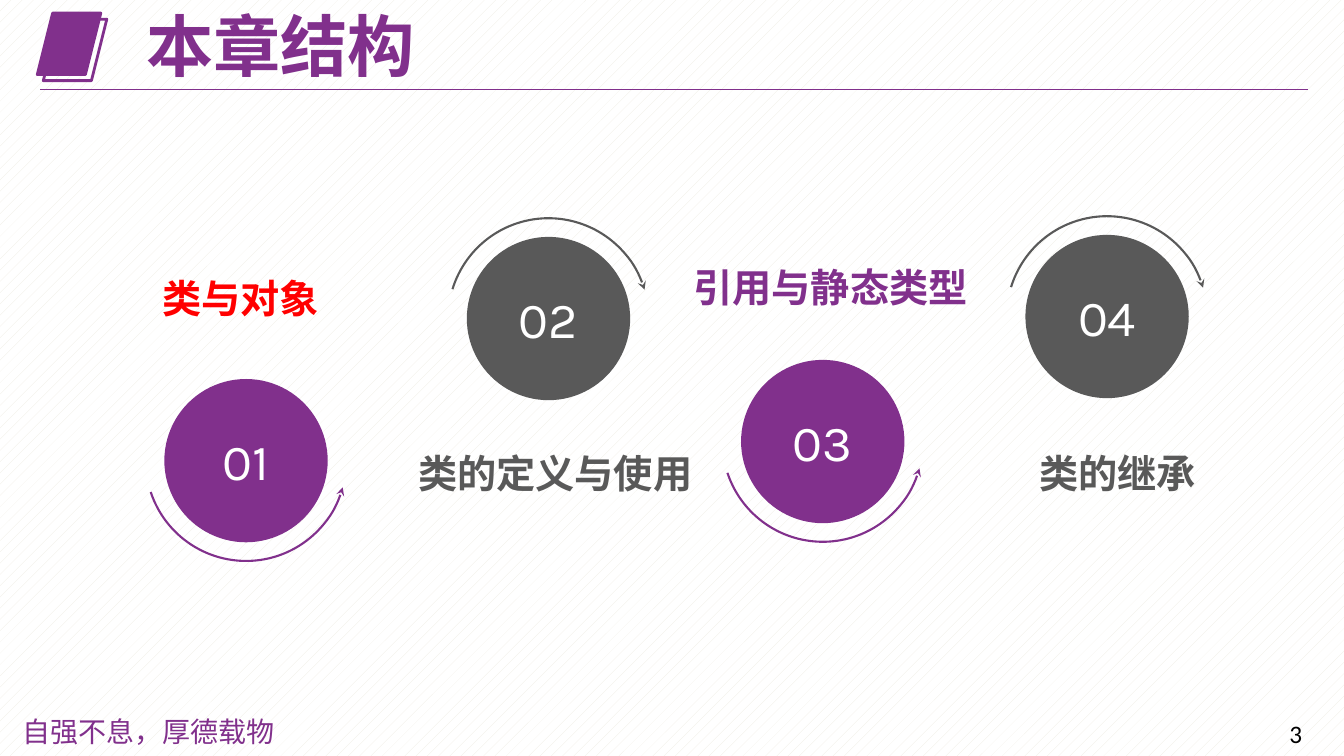
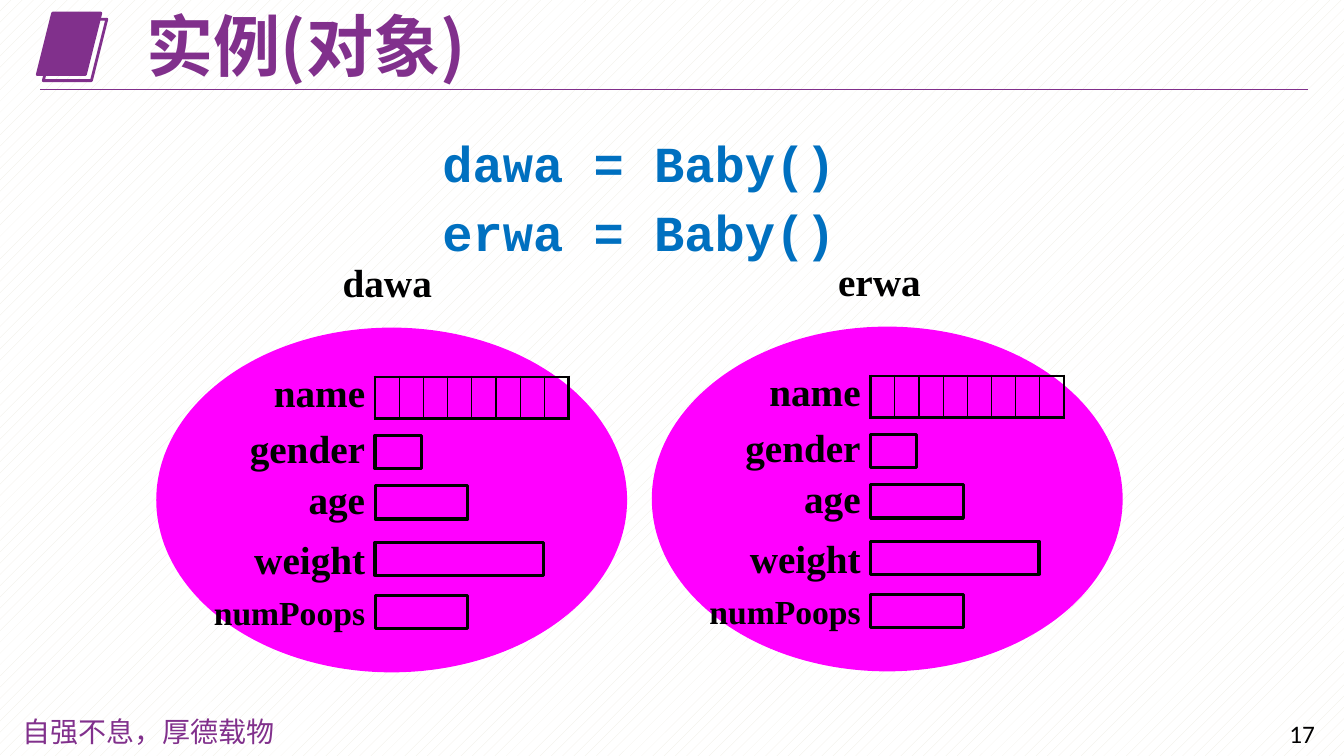
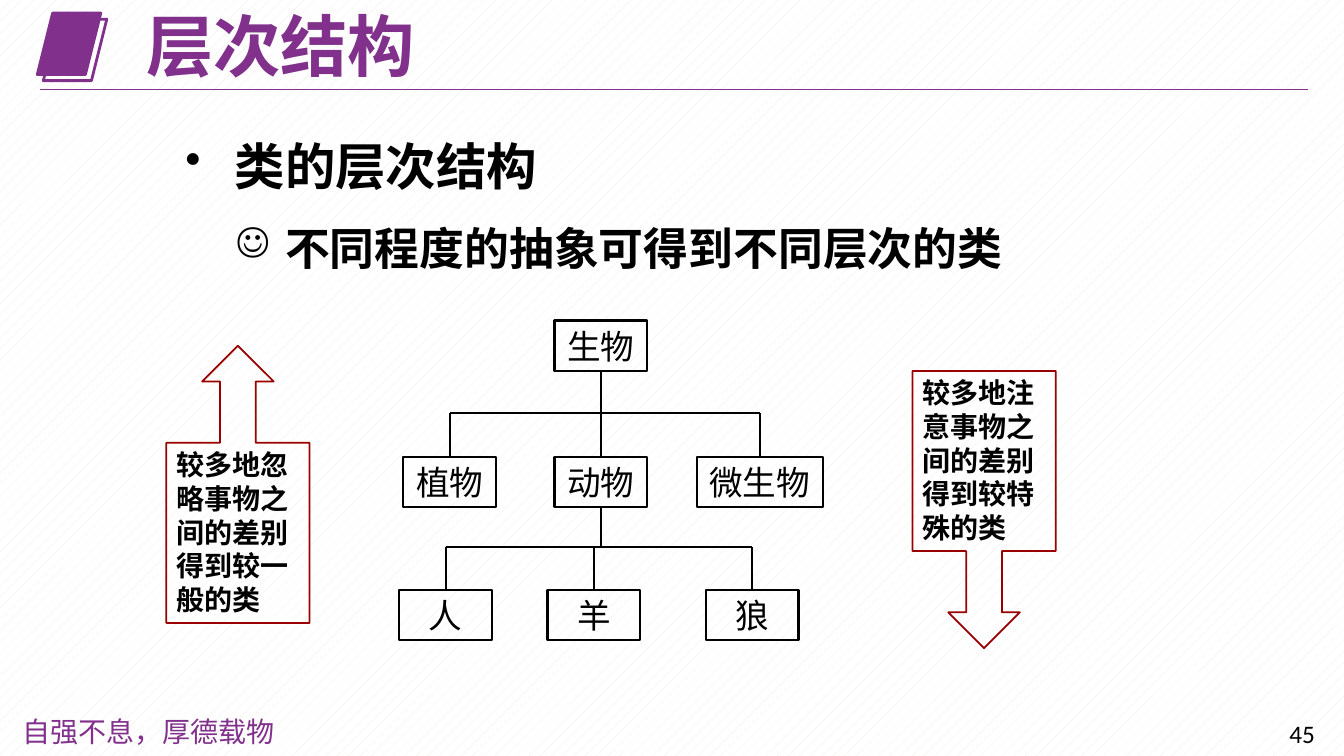
from lxml.etree import SubElement
from pptx import Presentation
from pptx.dml.color import RGBColor
from pptx.enum.dml import MSO_PATTERN
from pptx.enum.shapes import MSO_CONNECTOR, MSO_SHAPE, MSO_SHAPE_TYPE
from pptx.enum.text import MSO_ANCHOR, MSO_AUTO_SIZE, PP_ALIGN
from pptx.oxml.ns import qn
from pptx.util import Inches, Pt

PURPLE, GRAY, RED, MAROON = "81308C", "595959", "FF0000", "990000"
BLACK, WHITE, MAGENTA, BLUE = "000000", "FFFFFF", "FF00FF", "0070C0"
HEAVY, SERIF, MONO = "Noto Sans CJK SC", "Times New Roman", "Courier New"
GRID = Inches(0.1)  # one column or row of the layout grid
color = RGBColor.from_string


def draw(slide, preset, left, top, width, height, fill=None, line=None, weight=1):
    """Add a preset shape, or a text box if preset is None, measured in grid units."""
    box = [round(n * GRID) for n in (left, top, width, height)]
    if preset is None:
        shape = slide.shapes.add_textbox(*box)
    else:
        shape = slide.shapes.add_shape(preset, *box)
        shape.shadow.inherit = False
        if fill:
            shape.fill.solid()
            shape.fill.fore_color.rgb = color(fill)
        else:
            shape.fill.background()
        if line:
            shape.line.color.rgb = color(line)
            shape.line.width = Pt(weight)
        else:
            shape.line.fill.background()
    shape.text_frame.word_wrap = True
    return shape


def write(paragraph, text, size, ink=BLACK, font=HEAVY, bold=False,
          align=PP_ALIGN.LEFT, east=HEAVY):
    """Fill a paragraph; east is the typeface for Chinese characters."""
    paragraph.text = text
    paragraph.alignment = align
    paragraph.font.size = Pt(size)
    paragraph.font.bold = bold
    paragraph.font.color.rgb = color(ink)
    paragraph.font.name = font
    SubElement(paragraph._p.pPr.find(qn("a:defRPr")), qn("a:ea"), typeface=east)


prs = Presentation()
prs.slide_width, prs.slide_height = Inches(13.33), Inches(7.5)
backdrop = prs.slide_master.background.fill
backdrop.patterned()
backdrop.pattern = MSO_PATTERN.PERCENT_10
backdrop.fore_color.rgb = color("EEECE1")
backdrop.back_color.rgb = color(WHITE)

# Shared title, emblem, rule, motto and page number
for heading, page in (("本章结构", "3"), ("实例(对象)", "17"), ("层次结构", "45")):
    slide = prs.slides.add_slide(prs.slide_layouts[5])
    title = slide.shapes.title
    title.left, title.top = round(13.5 * GRID), round(1.1 * GRID)
    title.width, title.height = round(70.2 * GRID), round(7.6 * GRID)
    title.text_frame.auto_size = MSO_AUTO_SIZE.NONE
    title.text_frame.vertical_anchor = MSO_ANCHOR.MIDDLE
    heading_line = title.text_frame.paragraphs[0]
    heading_line.line_spacing = 0.9
    write(heading_line, heading, 48, PURPLE, bold=True)

    for left, top, fill in ((3.7, 1.3, PURPLE), (4.3, 1.9, None)):
        draw(slide, MSO_SHAPE.PARALLELOGRAM, left, top, 6.3, 6.1, fill, PURPLE, 2)
    rule = slide.shapes.add_connector(
        MSO_CONNECTOR.STRAIGHT, Inches(0.4), Inches(0.89), Inches(12.97), Inches(0.89))
    rule.line.color.rgb = color(PURPLE)
    rule.line.width = Pt(0.75)
    motto = draw(slide, None, 1.2, 70.4, 27.8, 4.4)
    write(motto.text_frame.paragraphs[0], "自强不息，厚德载物", 20, PURPLE,
          "Noto Sans CJK JP", east="Noto Sans CJK JP")
    number = draw(slide, None, 126.9, 70.8, 6.1, 4)
    write(number.text_frame.paragraphs[0], page, 18, font="Calibri")

outline, instances, hierarchy = prs.slides

# Chapter outline: circles with an arrow below (odd) or above (even)
sections = [
    ("01", 16.3, 37.6, PURPLE, "类与对象", RED, (15.1, 26.7, 22.2, 7.5)),
    ("02", 46.3, 23.5, GRAY, "类的定义与使用", GRAY, (40.5, 44.1, 29.7, 5.9)),
    ("03", 73.5, 35.7, PURPLE, "引用与静态类型", PURPLE, (67.8, 25.6, 30.2, 6.7)),
    ("04", 101.7, 23.3, GRAY, "类的继承", GRAY, (102.1, 44.1, 19.1, 5.9)),
]
for index, (number, left, top, tint, topic, ink, label_box) in enumerate(sections):
    circle = draw(outline, MSO_SHAPE.OVAL, left, top, 16.2, 16.2, tint)
    write(circle.text_frame.paragraphs[0], number, 36, WHITE, "Karla",
          align=PP_ALIGN.CENTER)
    arc = draw(outline, MSO_SHAPE.ARC, left - 1.85, top - 1.85, 19.9, 19.9,
               line=tint, weight=1.5)
    arc.adjustments[0], arc.adjustments[1] = 145.86, 17.63
    arc.rotation = 132.4
    if index % 2:
        arc.rotation = 46.4
        arc._element.spPr.find(qn("a:xfrm")).set("flipH", "1")
    SubElement(arc._element.spPr.find(qn("a:ln")), qn("a:headEnd"), type="stealth")
    label = draw(outline, None, *label_box)
    write(label.text_frame.paragraphs[0], topic, 28, ink, bold=True)

# Two instances of one class, each with its own fields
fields = [  # name, size, label top, label width, slot top, slot width, slot height
    ("name", 28, 36, 11.2, 37.4, 19.2, 4.1),
    ("gender", 28, 41.6, 13.6, 43.2, 4.6, 3.3),
    ("age", 28, 46.7, 7.7, 48.2, 9.2, 3.3),
    ("weight", 28, 52.6, 13.2, 53.8, 16.7, 3.3),
    ("numPoops", 24, 58.2, 17.2, 59.1, 9.2, 3.3),
]
LETTERS = 8
for instance, dx, dy, name_width in (("dawa", 0, 0, 11), ("erwa", 49.15, -0.1, 10.3)):
    draw(instances, MSO_SHAPE.OVAL, 15.5 + dx, 32.5 + dy, 46.7, 34.2, MAGENTA)
    caption = draw(instances, None, 33 + dx, 25.1 + dy, name_width, 5.7)
    caption.text_frame.word_wrap = False
    write(caption.text_frame.paragraphs[0], instance, 28, font=SERIF, bold=True)
    slot_left = 37.2 + dx
    for field, size, label_top, label_width, slot_top, width, height in fields:
        label = draw(instances, None, slot_left - label_width, label_top + dy,
                     label_width, 5 if size == 24 else 5.7)
        label.text_frame.word_wrap = False
        write(label.text_frame.paragraphs[0], field, size, font=SERIF, bold=True,
              align=PP_ALIGN.RIGHT)
        if field != "name":
            draw(instances, MSO_SHAPE.RECTANGLE, slot_left, slot_top + dy,
                 width, height, line=BLACK, weight=2.25)
            continue
        letters = instances.shapes.add_table(
            1, LETTERS, *[round(n * GRID) for n in
                          (slot_left, slot_top + dy, width, height)]).table
        letters.first_row = letters.horz_banding = False
        for position, cell in enumerate(letters.rows[0].cells):
            cell.margin_left = cell.margin_right = 0
            cell.margin_top = cell.margin_bottom = 0
            weights = {"lnL": 1 if position else 2.25,
                       "lnR": 1 if position < LETTERS - 1 else 2.25,
                       "lnT": 2.25, "lnB": 2.25}
            for side, weight in weights.items():
                border = SubElement(cell._tc.get_or_add_tcPr(), qn(f"a:{side}"),
                                    w=str(Pt(weight)))
                ink = SubElement(border, qn("a:solidFill"))
                SubElement(ink, qn("a:srgbClr"), val=BLACK)
            cell.fill.background()

code = draw(instances, None, 42.9, 12.6, 41.4, 13.2).text_frame
code.word_wrap = False
write(code.paragraphs[0], "dawa = Baby()", 36, BLUE, MONO, True)
second_call = code.add_paragraph()
second_call.space_before = Pt(6)
write(second_call, "erwa = Baby()", 36, BLUE, MONO, True)

# Class hierarchy: statement, tree and two callouts
statement = draw(hierarchy, None, 17.4, 12.9, 104.3, 44.6).text_frame
points = [("•", "类的层次结构", 36, HEAVY, 0),
          ("☺", "不同程度的抽象可得到不同层次的类", 32, SERIF, 18)]
for level, (mark, text, size, font, gap) in enumerate(points):
    point = statement.add_paragraph() if level else statement.paragraphs[0]
    point.level = level
    point.space_before = Pt(gap)
    properties = point._p.get_or_add_pPr()
    properties.set("marL", str(Inches(0.49 + 0.5 * level)))
    properties.set("indent", str(Inches(-0.49)))
    SubElement(properties, qn("a:buSzPct"), val="90000")
    SubElement(properties, qn("a:buChar"), char=mark)
    write(point, text, size, font=font, bold=True)

nodes = {}
for name, left, top, width in (
        ("生物", 55, 31.8, 9.2),
        ("植物", 40, 45.3, 9.2), ("动物", 55, 45.3, 9.2), ("微生物", 69.1, 45.3, 12.5),
        ("人", 39.6, 58.5, 9.2), ("羊", 54.3, 58.5, 9.2), ("狼", 70, 58.5, 9.2)):
    nodes[name] = draw(hierarchy, MSO_SHAPE.RECTANGLE, left, top, width, 5,
                       line=BLACK, weight=1.5)
    write(nodes[name].text_frame.paragraphs[0], name, 24, font="Arial",
          align=PP_ALIGN.CENTER)

for parent, children, bar_row in (("生物", ("植物", "动物", "微生物"), 41),
                                  ("动物", ("人", "羊", "狼"), 54.3)):
    bar_y = round(bar_row * GRID)
    centers = [nodes[child].left + nodes[child].width // 2 for child in children]
    trunk_x = nodes[parent].left + nodes[parent].width // 2
    ends = [(centers[0], centers[-1], None, None), (trunk_x, trunk_x, parent, None)]
    ends += [(x, x, None, child) for x, child in zip(centers, children)]
    for start_x, end_x, source, target in ends:
        branch = hierarchy.shapes.add_connector(
            MSO_CONNECTOR.STRAIGHT, start_x, bar_y, end_x, bar_y)
        if source:
            branch.begin_connect(nodes[source], 2)
        if target:
            branch.end_connect(nodes[target], 0)
        branch.line.color.rgb = color(BLACK)
        branch.line.width = Pt(1.5)

for preset, left, top, remark in (
        (MSO_SHAPE.UP_ARROW_CALLOUT, 16.5, 34.3, "较多地忽略事物之间的差别得到较一般的类"),
        (MSO_SHAPE.DOWN_ARROW_CALLOUT, 90.5, 36.8, "较多地注意事物之间的差别得到较特殊的类")):
    callout = draw(hierarchy, preset, left, top, 14.2, 27.5, line=MAROON, weight=1.25)
    callout.text_frame.vertical_anchor = MSO_ANCHOR.TOP
    write(callout.text_frame.paragraphs[0], remark, 20, bold=True)

# Connectors carry no theme shadow
for slide in prs.slides:
    for shape in slide.shapes:
        if shape.shape_type == MSO_SHAPE_TYPE.LINE:
            SubElement(shape._element.spPr, qn("a:effectLst"))

prs.save("out.pptx")
